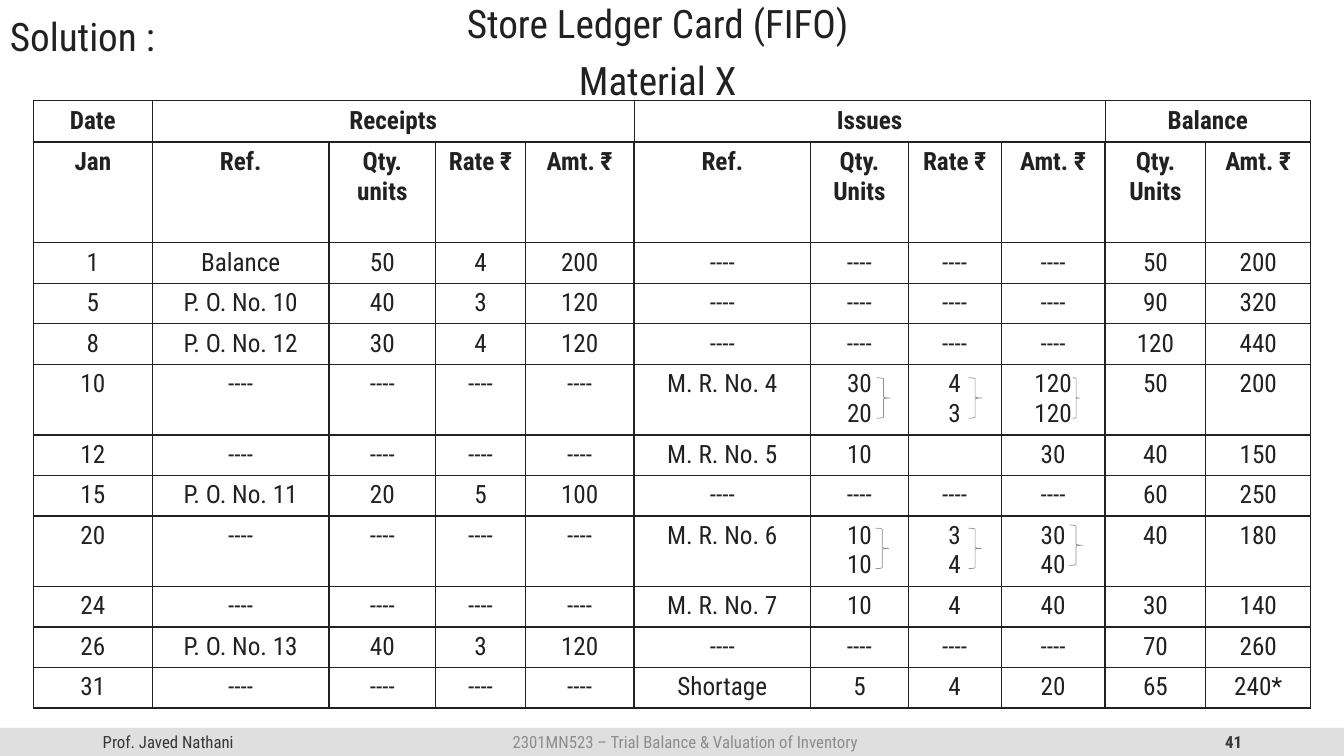
from itertools import accumulate

from lxml import etree
from pptx import Presentation
from pptx.dml.color import RGBColor
from pptx.enum.shapes import MSO_SHAPE
from pptx.enum.text import MSO_ANCHOR, PP_ALIGN
from pptx.oxml.ns import qn
from pptx.util import Cm, Pt

LEFT, CENTER, RIGHT = PP_ALIGN.LEFT, PP_ALIGN.CENTER, PP_ALIGN.RIGHT
TOP, MIDDLE = MSO_ANCHOR.TOP, MSO_ANCHOR.MIDDLE
BAR, BRACE = MSO_SHAPE.ROUNDED_RECTANGLE, MSO_SHAPE.RIGHT_BRACE

FONT = "Roboto Condensed"
INK, FOOTER_INK, FOOTER_GREY, BAR_GREY, BRACE_GREY = (
    "212121", "373737", "8D8D8D", "DFDFDF", "909090")
SLIDE_WIDTH, SLIDE_HEIGHT = 33.87, 19.05
COLUMNS = [3, 4.45, 2.69, 2.26, 2.74, 4.45, 2.46, 2.34, 2.62, 2.54, 2.64]
GROUPS = [COLUMNS[0], sum(COLUMNS[1:5]), sum(COLUMNS[5:9]), sum(COLUMNS[9:])]
GROUP_HEIGHT, HEADING_HEIGHT, SINGLE, DOUBLE = 1.04, 2.54, 1.02, 1.78

NONE = ["----"] * 4
GROUP_TITLES = ["Date", "Receipts", "Issues", "Balance"]
HEADINGS = ["Jan", "Ref.", "Qty. units", "Rate ₹", "Amt. ₹",
            "Ref.", "Qty. Units", "Rate ₹", "Amt. ₹", "Qty. Units", "Amt. ₹"]
# Each entry: date, receipts, issues, balance
ENTRIES = [
    ["1", *["Balance", "50", "4", "200"], *NONE, "50", "200"],
    ["5", *["P. O. No. 10", "40", "3", "120"], *NONE, "90", "320"],
    ["8", *["P. O. No. 12", "30", "4", "120"], *NONE, "120", "440"],
    ["10", *NONE, *["M. R. No. 4", "30\n20", "4\n3", "120\n120"], "50", "200"],
    ["12", *NONE, *["M. R. No. 5", "10", "", "30"], "40", "150"],
    ["15", *["P. O. No. 11", "20", "5", "100"], *NONE, "60", "250"],
    ["20", *NONE, *["M. R. No. 6", "10\n10", "3\n4", "30\n40"], "40", "180"],
    ["24", *NONE, *["M. R. No. 7", "10", "4", "40"], "30", "140"],
    ["26", *["P. O. No. 13", "40", "3", "120"], *NONE, "70", "260"],
    ["31", *NONE, *["Shortage", "5", "4", "20"], "65", "240*"],
]
# Offsets from the ledger's corner and width of each brace
BRACES = [(21.26, 6.98, 0.33), (23.57, 6.98, 0.33), (26.19, 6.98, 0.18),
          (21.23, 10.77, 0.33), (23.57, 10.77, 0.33), (26.11, 10.69, 0.33)]


def color(value):
    return RGBColor.from_string(value)


def style_paragraphs(frame, size, ink, align, bold=False):
    for para in frame.paragraphs:
        para.alignment = align
        for span in para.runs:
            span.font.name = FONT
            span.font.size = Pt(size)
            span.font.bold = bold
            span.font.color.rgb = color(ink)


def add_text(page, box, text, size, ink, align=LEFT, anchor=MIDDLE, bold=False):
    frame = page.shapes.add_textbox(*map(Cm, box)).text_frame
    frame.word_wrap = True
    frame.vertical_anchor = anchor
    frame.text = text
    style_paragraphs(frame, size, ink, align, bold)
    return frame


def add_titles(page, left, top, width):
    heading = add_text(page, (left, top, width - 0.72, 17.86),
                       "Store Ledger Card (FIFO)\nMaterial X", 28, INK, CENTER, TOP)
    for para in heading.paragraphs:
        para.line_spacing = 0.9
        para.space_before = Pt(10)
    solution = add_text(page, (left, top, width, 1.98), "Solution :", 28, INK)
    solution.paragraphs[0].line_spacing = 0.9


def add_borders(cell):
    properties = cell._tc.get_or_add_tcPr()
    for position, side in enumerate(("a:lnL", "a:lnR", "a:lnT", "a:lnB")):
        line = etree.Element(qn(side), w=str(Pt(1)))
        fill = etree.SubElement(line, qn("a:solidFill"))
        etree.SubElement(fill, qn("a:srgbClr"), val=INK)
        properties.insert(position, line)


def add_strip(page, left, top, height, widths, texts, bold):
    """Add one ledger line as a table with a single row."""
    frame = page.shapes.add_table(1, len(widths), Cm(left), Cm(top),
                                  Cm(sum(widths)), Cm(height))
    table = frame.table
    table.first_row = table.horz_banding = False
    table.rows[0].height = Cm(height)
    for column, width, cell, text in zip(table.columns, widths,
                                         table.rows[0].cells, texts):
        column.width = Cm(width)
        cell.fill.background()
        add_borders(cell)
        cell.text = text
        style_paragraphs(cell.text_frame, 18, INK, CENTER, bold)


def add_ledger(page, left, top):
    strips = [(GROUP_HEIGHT, GROUPS, GROUP_TITLES, True),
              (HEADING_HEIGHT, COLUMNS, HEADINGS, True)]
    for entry in ENTRIES:
        height = DOUBLE if any("\n" in text for text in entry) else SINGLE
        strips.append((height, COLUMNS, entry, False))
    tops = accumulate((strip[0] for strip in strips), initial=top)
    for strip_top, strip in zip(tops, strips):
        add_strip(page, left, strip_top, *strip)
    for across, down, width in BRACES:
        brace = page.shapes.add_shape(BRACE, Cm(left + across), Cm(top + down),
                                      Cm(width), Cm(1.02))
        brace.shadow.inherit = False
        brace.fill.background()
        brace.line.color.rgb = color(BRACE_GREY)
        brace.line.width = Pt(0.5)


def add_footer(page, left, top, width, height):
    bar = page.shapes.add_shape(BAR, Cm(left), Cm(top), Cm(width), Cm(height))
    bar.adjustments[0] = 0
    bar.shadow.inherit = False
    bar.fill.solid()
    bar.fill.fore_color.rgb = color(BAR_GREY)
    bar.line.fill.background()
    add_text(page, (left + 2.34, top, 7.62, height), "Prof. Javed Nathani",
             12, FOOTER_INK)
    add_text(page, (left + 23.93, top, 7.62, height), "41",
             12, FOOTER_INK, RIGHT, bold=True)
    add_text(page, (left + 10.62, top, 13.31, height),
             "2301MN523 – Trial Balance & Valuation of Inventory",
             12, FOOTER_GREY, CENTER)


def main():
    deck = Presentation()
    deck.slide_width, deck.slide_height = Cm(SLIDE_WIDTH), Cm(SLIDE_HEIGHT)
    page = deck.slides.add_slide(deck.slide_layouts[6])
    add_footer(page, 0, 18.34, SLIDE_WIDTH, 0.71)
    add_titles(page, 0, 0, SLIDE_WIDTH)
    add_ledger(page, 0.84, 2.54)
    deck.save("out.pptx")


if __name__ == "__main__":
    main()
